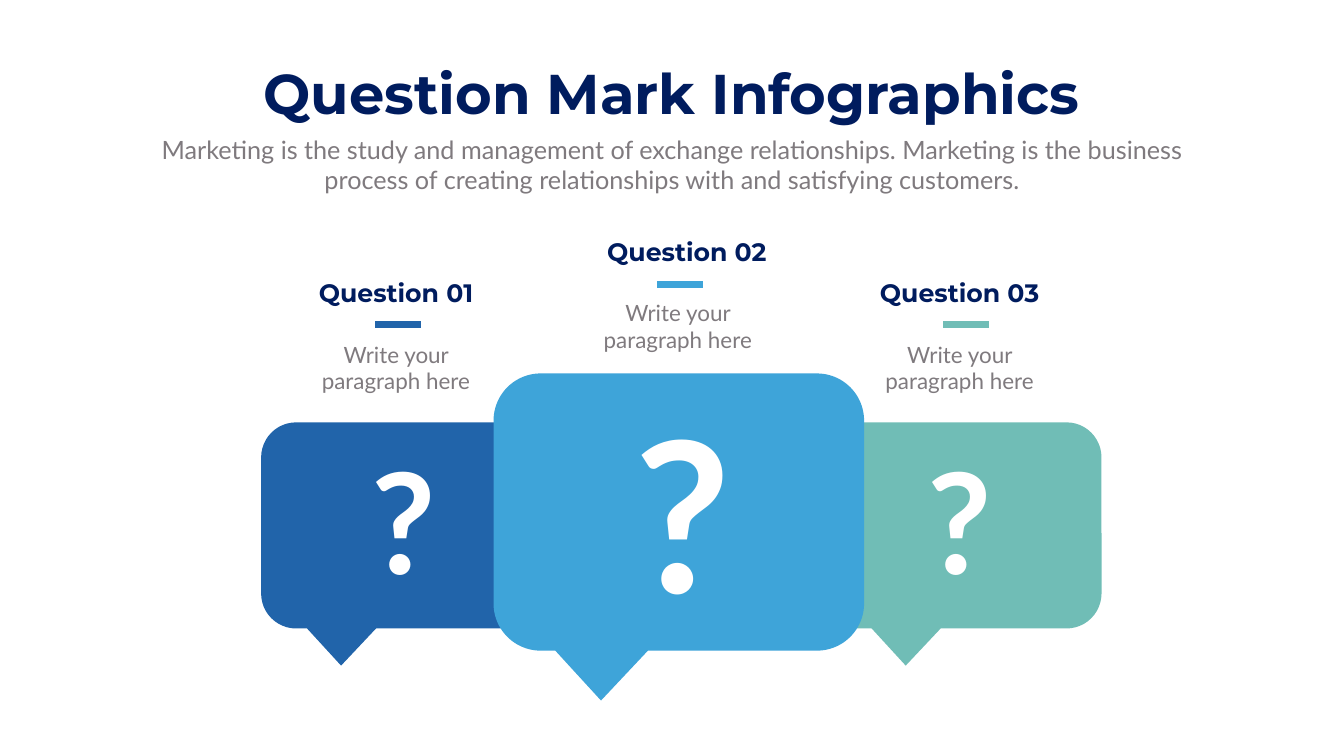
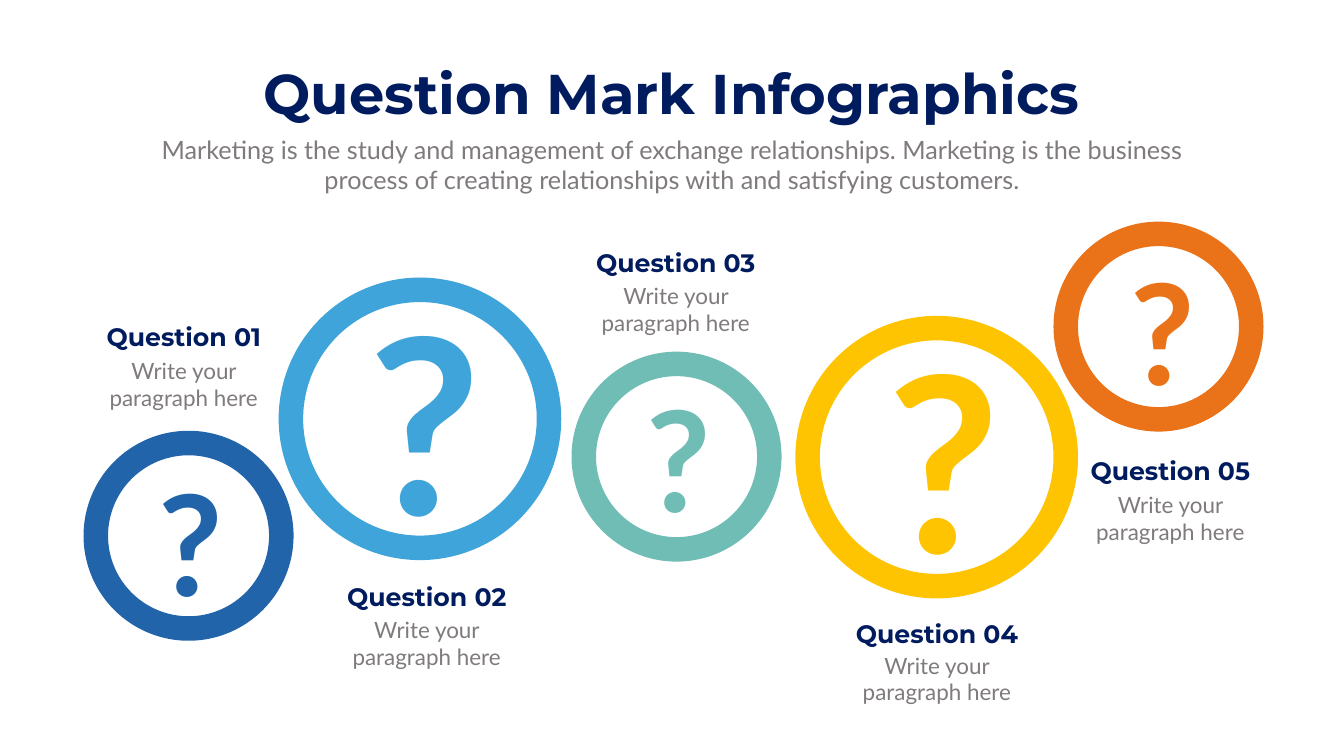
from pptx import Presentation
from pptx.dml.color import RGBColor
from pptx.enum.shapes import MSO_CONNECTOR, MSO_SHAPE
from pptx.enum.text import MSO_ANCHOR, MSO_AUTO_SIZE, PP_ALIGN
from pptx.oxml.ns import qn
from pptx.util import Pt

PX = 9144
STRAIGHT = MSO_CONNECTOR.STRAIGHT
BUBBLE = MSO_SHAPE.ROUNDED_RECTANGULAR_CALLOUT
RING = MSO_SHAPE.OVAL
TOP = MSO_ANCHOR.TOP
GROW = MSO_AUTO_SIZE.SHAPE_TO_FIT_TEXT
CENTER = PP_ALIGN.CENTER

HEX = {
    "navy": "001C5E", "gray": "7F7A7E", "white": "FFFFFF", "blue": "2164AA",
    "sky": "3EA4D9", "teal": "70BDB6", "gold": "FEC402", "orange": "EA7319",
}
RGB = {name: RGBColor.from_string(code) for name, code in HEX.items()}
HEAD, BODY = "Montserrat", "Lato"
MARKS = {200: (138, 347), 300: (197, 515), 350: (227, 599)}


def write(slide, words, at, size, color, font=BODY, bold=False, wrap=True, box=None):
    box = box or slide.shapes.add_textbox(0, 0, 0, 0)
    box.left, box.top, box.width, box.height = [n * PX for n in at]
    frame = box.text_frame
    frame.text = words
    frame.word_wrap = wrap
    frame.auto_size = GROW
    frame.vertical_anchor = TOP
    par = frame.paragraphs[0]
    par.alignment = CENTER
    par.space_before = Pt(0)
    face = par.runs[0].font
    face.name, face.size, face.bold = font, Pt(size), bold
    face.color.rgb = RGB[color]


def label(slide, num, head, body):
    write(slide, f"Question {num:02}", (*head, 371, 71), 36, "navy", font=HEAD, bold=True)
    write(slide, "Write your paragraph here", (*body, 371, 118), 32, "gray")


deck = Presentation()
deck.slide_width, deck.slide_height = 2666 * PX, 1500 * PX

slides = []
for _ in range(2):
    slide = deck.slides.add_slide(deck.slide_layouts[0])
    write(slide, "Question Mark Infographics", (490, 112, 1685, 145), 80, "navy",
          font=HEAD, bold=True, wrap=False, box=slide.shapes.title)
    write(slide, "Marketing is the study and management of exchange relationships. "
          "Marketing is the business process of creating relationships with and "
          "satisfying customers.", (292, 261, 2082, 131), 36, "gray",
          box=slide.placeholders[1])
    slides.append(slide)
cards, rings = slides

# number, colour, bubble, mark size, mark, heading, body, rule
for num, color, area, size, mark, head, body, rule in [
    (3, "teal", (1638, 838, 547, 409), 200, (1829, 858), (1718, 546), (1718, 671), (1871, 644)),
    (1, "blue", (518, 838, 547, 409), 200, (727, 858), (600, 546), (600, 671), (744, 644)),
    (2, "sky", (979, 741, 735, 550), 300, (1249, 756), (1177, 464), (1159, 588), (1304, 565)),
]:
    bubble = cards.shapes.add_shape(BUBBLE, *[n * PX for n in area])
    bubble.shadow.inherit = False
    for i, value in enumerate((-0.21, 0.68, 0.17)):
        bubble.adjustments[i] = value
    bubble.fill.solid()
    bubble.fill.fore_color.rgb = RGB[color]
    bubble.line.fill.background()
    write(cards, "?", (*mark, *MARKS[size]), size, "white", bold=True, wrap=False)
    label(cards, num, head, body)
    x, y = rule
    line = cards.shapes.add_connector(STRAIGHT, x * PX, y * PX, (x + 91) * PX, y * PX)
    line.line.color.rgb = RGB[color]
    line.line.width = Pt(10)
    props = line._element.spPr
    props.append(props.makeelement(qn("a:effectLst"), {}))

# colour, ring corner, ring width, mark size, mark, heading, body
for num, (color, spot, wide, size, mark, head, body) in enumerate([
    ("blue", (190, 879), 368, 200, (305, 900), (179, 633), (179, 704)),
    ("sky", (577, 575), 512, 350, (722, 531), (661, 1148), (661, 1218)),
    ("teal", (1158, 722), 368, 200, (1273, 734), (1155, 485), (1155, 555)),
    ("gold", (1602, 651), 512, 350, (1750, 607), (1673, 1221), (1673, 1288)),
    ("orange", (2114, 464), 368, 200, (2232, 482), (2136, 899), (2136, 969)),
], 1):
    ring = rings.shapes.add_shape(RING, *[n * PX for n in (*spot, wide, wide)])
    ring.shadow.inherit = False
    ring.fill.background()
    ring.line.color.rgb = RGB[color]
    ring.line.width = Pt(35)
    write(rings, "?", (*mark, *MARKS[size]), size, color, bold=True, wrap=False)
    label(rings, num, head, body)

deck.save("out.pptx")
